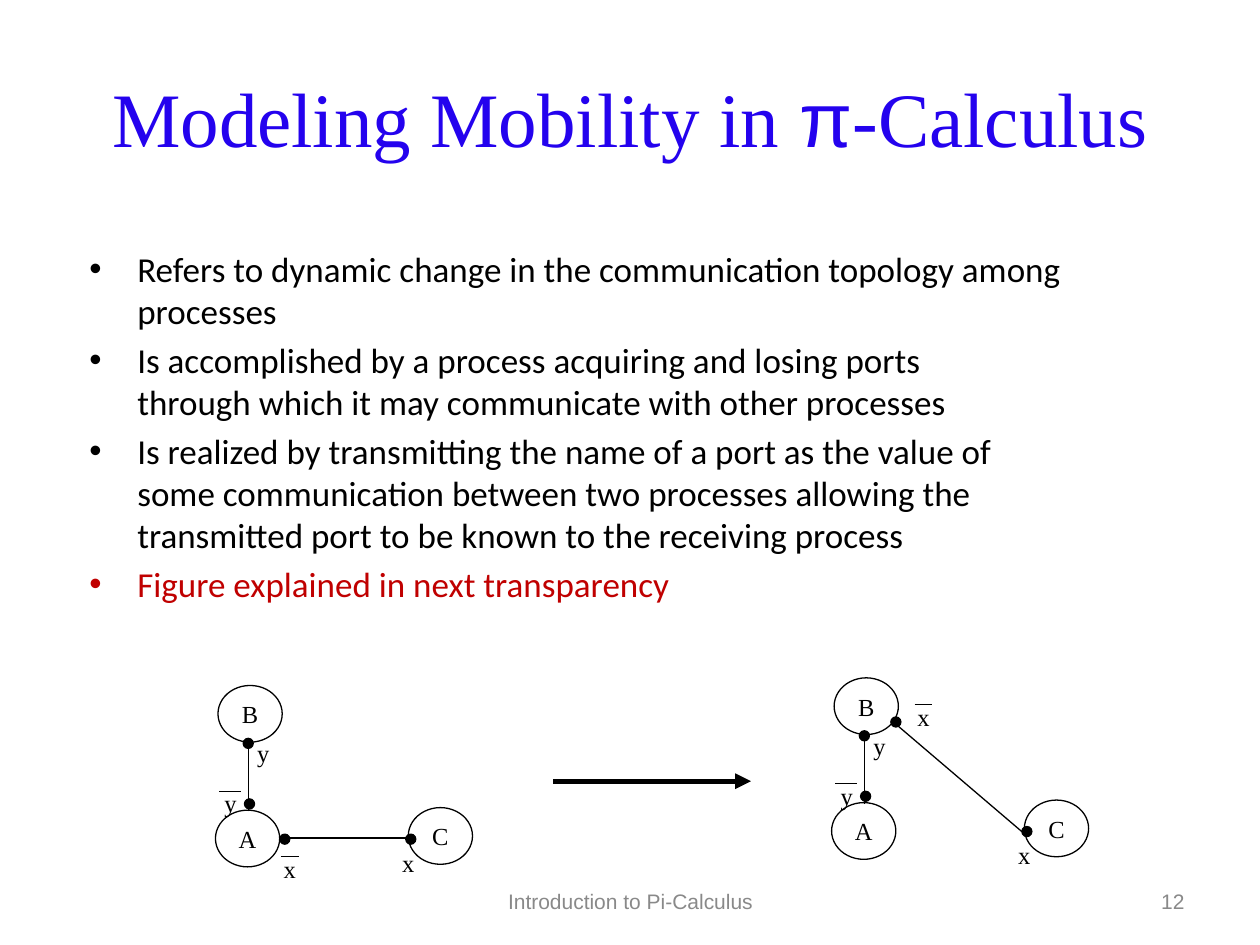
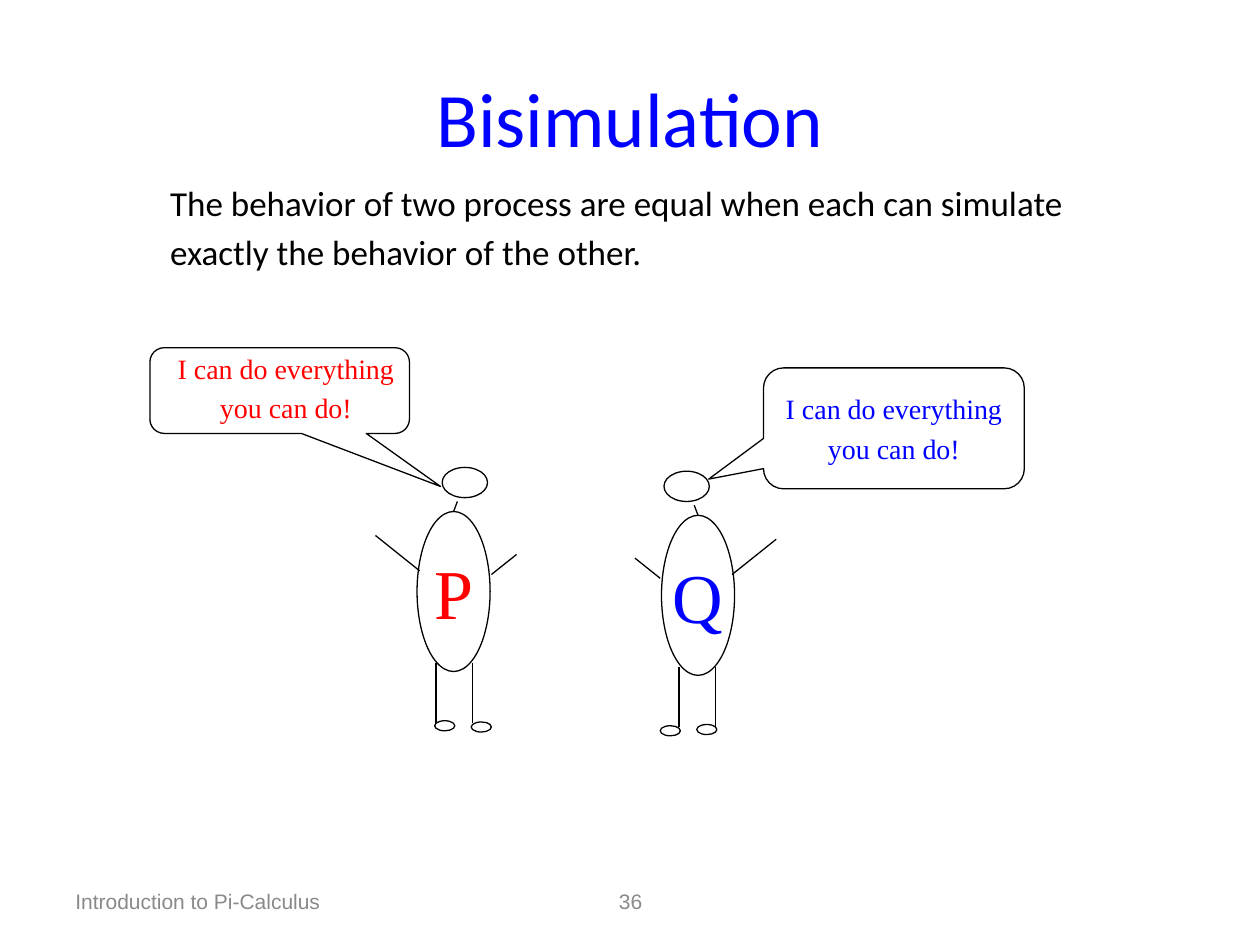
from dataclasses import dataclass

from lxml import etree
from pptx import Presentation
from pptx import util as u
from pptx.dml.color import RGBColor
from pptx.enum import shapes, text
from pptx.oxml.ns import qn

COLUMNS, ROWS = 100, 75
SLIDE_WIDTH, SLIDE_HEIGHT = u.Inches(10), u.Inches(7.5)
LEFT, CENTER, RIGHT = text.PP_ALIGN.LEFT, text.PP_ALIGN.CENTER, text.PP_ALIGN.RIGHT
OVAL = shapes.MSO_SHAPE.OVAL
CALLOUT = shapes.MSO_SHAPE.ROUNDED_RECTANGULAR_CALLOUT


@dataclass(frozen=True)
class Theme:
    ink: str = "000000"
    indigo: str = "2402EE"
    blue: str = "0000FF"
    red: str = "FF0000"
    accent: str = "C00000"
    muted: str = "898989"
    sans: str = "Calibri"
    serif: str = "Times New Roman"
    plain: str = "Arial"
    title: int = 44
    letter: int = 40
    body: int = 20
    speech: int = 16
    label: int = 14
    footer: int = 12
    hairline: float = 0.75
    arrow: float = 3


THEME = Theme()


@dataclass(frozen=True)
class Box:
    left: float
    top: float
    width: float
    height: float

    def inner(self, left, top, width, height):
        return Box(self.left + left, self.top + top, width, height)

    def point(self, x, y):
        return self.left + x, self.top + y

    def emu(self):
        return (across(self.left), down(self.top),
                across(self.width), down(self.height))


TITLE = Box(5, 3, 90, 12.5)
FOOTER_LEFT = Box(5, 69.5, 23.3, 4)
FOOTER_CENTER = Box(34.2, 69.5, 31.7, 4)
FOOTER_RIGHT = Box(71.7, 69.5, 23.3, 4)


def across(columns):
    return round(SLIDE_WIDTH * columns / COLUMNS)


def down(rows):
    return round(SLIDE_HEIGHT * rows / ROWS)


def write(frame, paragraphs, size, font=THEME.sans, color=THEME.ink, align=LEFT,
          anchor=text.MSO_ANCHOR.MIDDLE, wrap=True, hanging=None):
    frame.auto_size = text.MSO_AUTO_SIZE.NONE
    frame.word_wrap = wrap
    frame.vertical_anchor = anchor
    for index, runs in enumerate(paragraphs):
        paragraph = frame.paragraphs[0] if index == 0 else frame.add_paragraph()
        if hanging is not None:
            properties = paragraph._p.get_or_add_pPr()
            properties.set("marL", str(across(hanging)))
            properties.set("indent", str(-across(hanging)))
            if hanging:
                bullet = etree.SubElement(properties, qn("a:buChar"))
                bullet.set("char", "•")
            else:
                etree.SubElement(properties, qn("a:buNone"))
        paragraph.alignment = align
        paragraph.space_before = u.Pt(size * 0.2 if index else 0)
        for wording, special in ([(runs, {})] if isinstance(runs, str) else runs):
            for number, line in enumerate(wording.split("\n")):
                if number:
                    paragraph.add_line_break()
                run = paragraph.add_run()
                run.text = line
                run.font.size = u.Pt(size)
                run.font.name = special.get("font", font)
                run.font.color.rgb = RGBColor.from_string(special.get("color", color))
        for line_break in paragraph._p.findall(qn("a:br")):
            etree.SubElement(line_break, qn("a:rPr")).set("sz", str(size * 100))


def place(placeholder, box):
    placeholder.left, placeholder.top, placeholder.width, placeholder.height = box.emu()
    return placeholder.text_frame


def add_text(slide, box, wording, **style):
    write(slide.shapes.add_textbox(*box.emu()).text_frame, [wording], **style)


def add_outline(slide, box, preset=OVAL, filled=False):
    outline = slide.shapes.add_shape(preset, *box.emu())
    outline.shadow.inherit = False
    if filled:
        outline.fill.solid()
        outline.fill.fore_color.rgb = RGBColor.from_string(THEME.ink)
    else:
        outline.fill.background()
    outline.line.color.rgb = RGBColor.from_string(THEME.ink)
    outline.line.width = u.Pt(THEME.hairline)
    frame = outline.text_frame
    frame.margin_left = frame.margin_right = frame.margin_top = frame.margin_bottom = 0
    return outline


def add_line(slide, start, end, width=THEME.hairline, arrow=False):
    line = slide.shapes.add_connector(
        shapes.MSO_CONNECTOR.STRAIGHT,
        across(start[0]), down(start[1]), across(end[0]), down(end[1]))
    line.line.color.rgb = RGBColor.from_string(THEME.ink)
    line.line.width = u.Pt(width)
    if arrow:
        etree.SubElement(line.line._get_or_add_ln(), qn("a:tailEnd")).set("type", "triangle")
    etree.SubElement(line._element.spPr, qn("a:effectLst"))


def add_page(deck, title, color, footers):
    slide = deck.slides.add_slide(deck.slide_layouts[1])
    write(place(slide.shapes.title, TITLE), [title],
          size=THEME.title, color=color, align=CENTER)
    for box, wording, align in footers:
        add_text(slide, box, wording, size=THEME.footer, font=THEME.plain,
                 color=THEME.muted, align=align)
    return slide


def add_port_label(slide, box, name, bar=None):
    add_text(slide, box, name, size=THEME.label, font=THEME.serif,
             align=CENTER, wrap=False)
    if bar:
        add_line(slide, box.point(bar[0], 0.7), box.point(bar[1], 0.7))


def add_network(slide, box, link, sender_port, sender_label):
    for name, left, top in (("B", 0.3, 0.4), ("A", 0.1, 10.3), ("C", 15.4, 10.1)):
        process = add_outline(slide, box.inner(left, top, 5.1, 4.5))
        write(process.text_frame, [name], size=THEME.label, font=THEME.serif,
              align=CENTER, wrap=False)
    for start, end in (link, ((2.7, 10.4), (2.7, 4.9))):
        add_line(slide, box.point(*start), box.point(*end))
    for port in ((2.3, 4.6), (2.4, 9.4), (15.2, 12.2), sender_port):
        add_outline(slide, box.inner(*port, 0.8, 0.8), filled=True)
    x_bar, y_bar = (0.8, 2.2), (0.6, 2.3)
    for name, corner, bar in (("x", (13.9, 12.8), None), ("y", (2.4, 4.1), None),
                              ("x", sender_label, x_bar), ("y", (-0.2, 8.1), y_bar)):
        add_port_label(slide, box.inner(*corner, 3, 3.3), name, bar)


def add_person(slide, box, name, color, mirrored=False):
    def turned(x, width=0):
        return box.width - x - width if mirrored else x

    torso = add_outline(slide, box)
    write(torso.text_frame, [name], size=THEME.letter, font=THEME.serif,
          color=color, align=CENTER, wrap=False)
    for left, top, width, height in ((2, -3.5, 3.6, 2.4),
                                     (1.4, 16.6, 1.6, 0.8), (4.3, 16.7, 1.6, 0.8)):
        add_outline(slide, box.inner(turned(left, width), top, width, height))
    neck = (2.9, 0), (3.2, -0.8)
    legs = [((x, 12), (x, 16.8)) for x in (1.5, 4.4)]
    arms = [((0.2, 4.7), (-3.3, 1.9)), ((5.9, 5), (7.9, 3.4))]
    for (x1, y1), (x2, y2) in (neck, *legs, *arms):
        add_line(slide, box.point(turned(x1), y1), box.point(turned(x2), y2))


def add_speech(slide, box, color, pointer, indent=0, lift=0):
    speech = add_outline(slide, box, CALLOUT)
    speech.adjustments[0], speech.adjustments[1] = pointer
    speech.text_frame.margin_left = across(indent)
    speech.text_frame.margin_bottom = down(lift)
    write(speech.text_frame, ["I can do everything", "you can do!"],
          size=THEME.speech, font=THEME.serif, color=color, align=CENTER, wrap=False)


def add_mobility_slide(deck):
    serif = {"font": THEME.serif}
    slide = add_page(
        deck,
        [("Modeling Mobility in ", serif), ("π", {"font": THEME.plain}),
         ("-Calculus", serif)],
        THEME.indigo,
        [(FOOTER_CENTER, "Introduction to Pi-Calculus", CENTER),
         (FOOTER_RIGHT, "12", RIGHT)])
    write(place(slide.placeholders[1], Box(6.1, 18.8, 85.3, 30)), [
        "Refers to dynamic change in the communication topology among processes",
        "Is accomplished by a process acquiring and losing ports\n"
        "through which it may communicate with other processes",
        "Is realized by transmitting the name of a port as the value of\n"
        "some communication between two processes allowing the\n"
        "transmitted port to be known to the receiving process",
        [("Figure explained in next transparency", {"color": THEME.accent})],
    ], size=THEME.body, hanging=3.8)
    add_network(slide, Box(17, 54, 20.5, 16.5), link=((5.2, 12.5), (15.4, 12.5)),
                sender_port=(5.2, 12.2), sender_label=(4.5, 13.3))
    add_network(slide, Box(65.9, 53.4, 20.5, 16.5), link=((5, 3.9), (15.2, 12.6)),
                sender_port=(4.8, 3.5), sender_label=(5.9, 1.8))
    add_line(slide, (43.9, 62), (59.6, 62), width=THEME.arrow, arrow=True)


def add_bisimulation_slide(deck):
    slide = add_page(deck, "Bisimulation", THEME.blue,
                     [(FOOTER_LEFT, "Introduction to Pi-Calculus", LEFT),
                      (FOOTER_CENTER, "36", CENTER)])
    write(place(slide.placeholders[1], Box(12.5, 13.8, 76, 8.4)), [
        "The behavior of two process are equal when each can simulate",
        "exactly the behavior of the other.",
    ], size=THEME.body, hanging=0)
    add_person(slide, Box(52.5, 40.9, 5.8, 12.7), "Q", THEME.blue, mirrored=True)
    add_speech(slide, Box(60.6, 29.2, 20.7, 9.6), THEME.blue, (-0.71, 0.42))
    add_person(slide, Box(33.1, 40.6, 5.8, 12.7), "P", THEME.red)
    add_speech(slide, Box(11.9, 27.6, 20.6, 6.8), THEME.red, (0.62, 1.12),
               indent=1, lift=0.5)


def main():
    deck = Presentation()
    deck.slide_width, deck.slide_height = SLIDE_WIDTH, SLIDE_HEIGHT
    add_mobility_slide(deck)
    add_bisimulation_slide(deck)
    deck.save("out.pptx")


if __name__ == "__main__":
    main()
